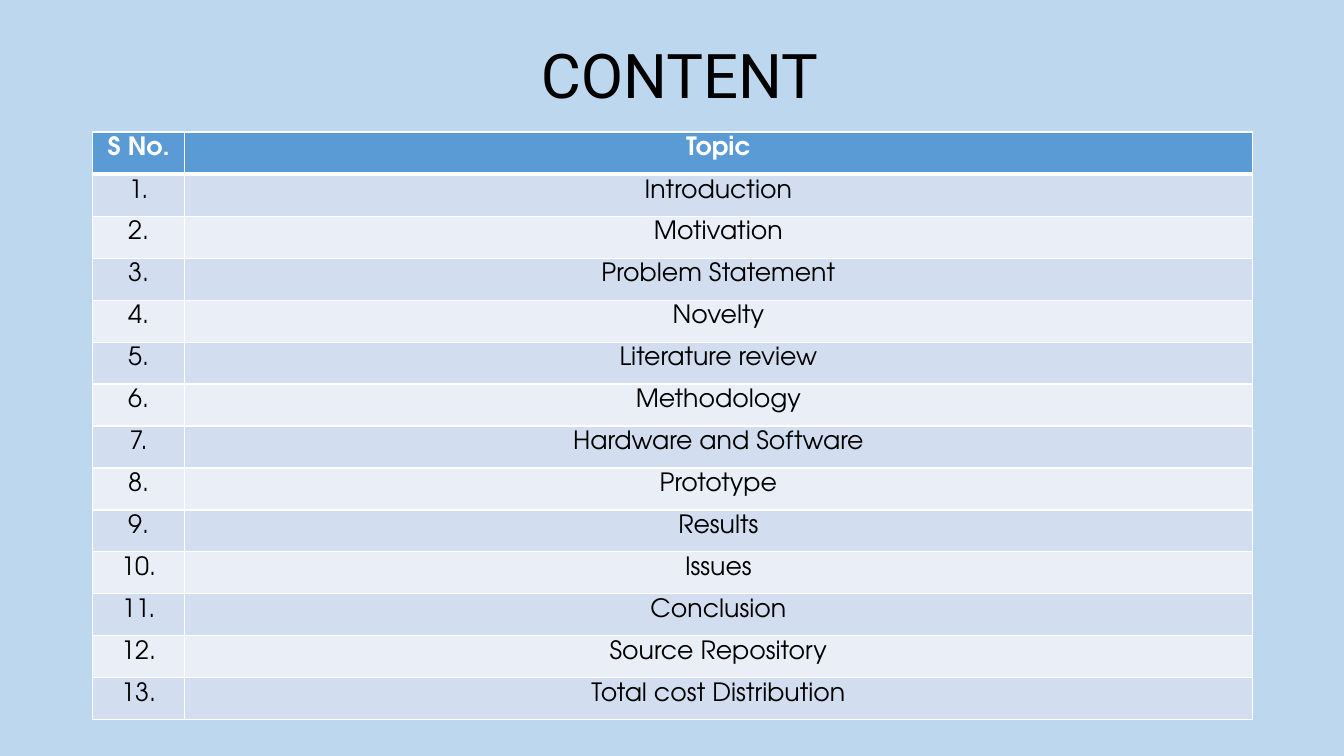
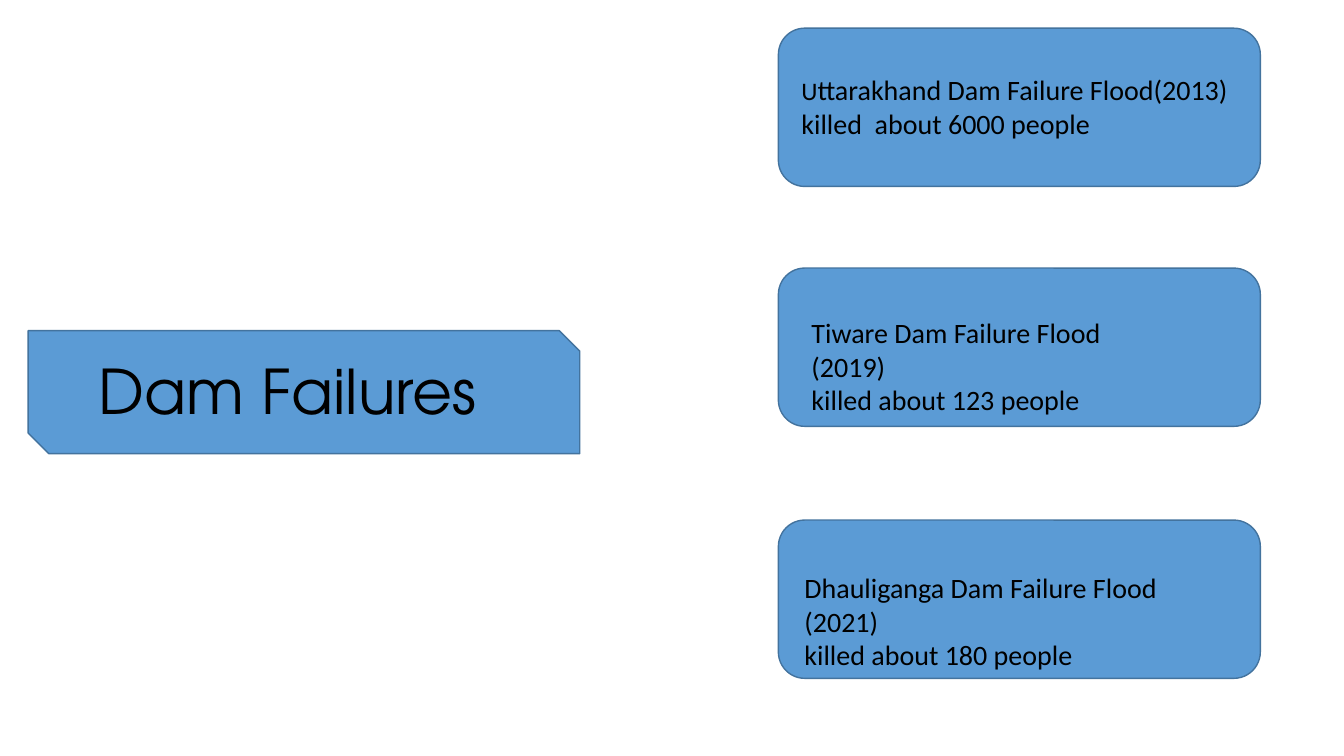
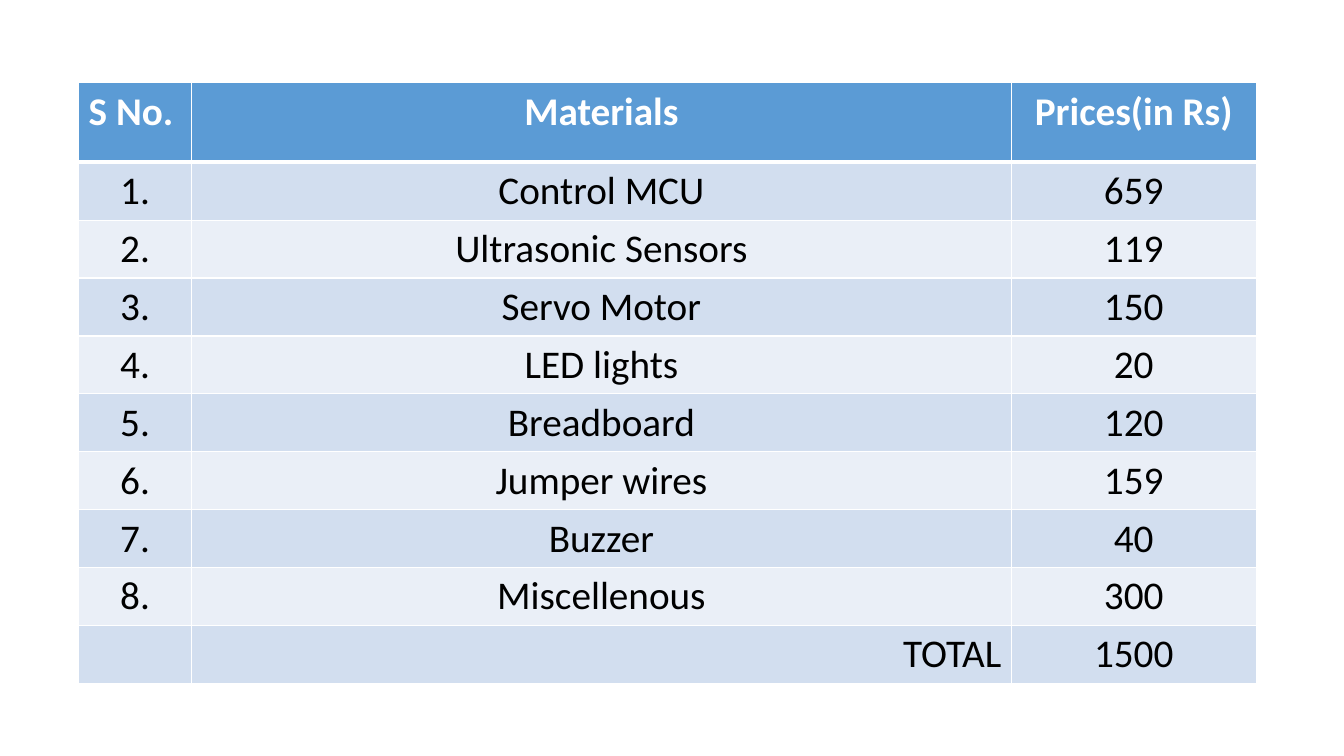
from lxml.etree import SubElement
from pptx import Presentation
from pptx.dml.color import RGBColor
from pptx.enum.shapes import MSO_SHAPE as Shape
from pptx.enum.text import MSO_ANCHOR as Anchor, MSO_AUTO_SIZE as AutoSize, PP_ALIGN as Align
from pptx.oxml.ns import qn
from pptx.util import Inches, Pt

WHITE = RGBColor(0xFF, 0xFF, 0xFF)
BLACK = RGBColor(0, 0, 0)
PALE_BLUE = RGBColor(0xBD, 0xD7, 0xEE)
BLUE = RGBColor(0x5B, 0x9B, 0xD5)
DARK_BLUE = RGBColor(0x43, 0x73, 0x9E)
BANDS = RGBColor(0xD2, 0xDE, 0xEF), RGBColor(0xEA, 0xEF, 0xF7)

BODY_FONT = "Calibri"
DISPLAY_FONT = "TeX Gyre Adventor"
CONTENT_FONT = "Roboto"

TOPICS = [
    "Introduction", "Motivation", "Problem Statement", "Novelty",
    "Literature review", "Methodology", "Hardware and Software", "Prototype",
    "Results", "Issues", "Conclusion", "Source Repository",
    "Total cost Distribution",
]

# Card top, then caption place (left, top, width) and lines
FAILURES = [
    (0.28, (7.85, 0.67, 4.54),
     ["Uttarakhand Dam Failure Flood(2013)", "killed  about 6000 people"]),
    (2.66, (7.95, 3.08, 3.8),
     ["Tiware Dam Failure Flood (2019)", "killed about 123 people"]),
    (5.16, (7.88, 5.61, 4.4),
     ["Dhauliganga Dam Failure Flood (2021)", "killed about 180 people"]),
]

MATERIALS = [
    ("Control MCU", 659), ("Ultrasonic Sensors", 119), ("Servo Motor", 150),
    ("LED lights", 20), ("Breadboard", 120), ("Jumper wires", 159),
    ("Buzzer", 40), ("Miscellenous", 300),
]
TOTAL = 1500


def add_slide(deck, background):
    slide = deck.slides.add_slide(deck.slide_layouts[6])
    slide.background.fill.solid()
    slide.background.fill.fore_color.rgb = background
    return slide


def style_paragraph(paragraph, font_name, size, color=BLACK, bold=False, align=Align.LEFT):
    paragraph.alignment = align
    font = paragraph.font
    font.name, font.size, font.bold = font_name, Pt(size), bold
    font.color.rgb = color


def add_text(slide, place, lines, font_name, size, align=Align.LEFT):
    frame = slide.shapes.add_textbox(*map(Inches, place)).text_frame
    frame.word_wrap = True
    frame.text = "\n".join(lines)
    for paragraph in frame.paragraphs:
        style_paragraph(paragraph, font_name, size, align=align)
    return frame


def add_title(slide, place, text, font_name, align=Align.LEFT):
    frame = add_text(slide, place, [text], font_name, 44, align)
    frame.vertical_anchor = Anchor.MIDDLE
    frame.paragraphs[0].line_spacing = 0.9


def add_panel(slide, preset, place):
    panel = slide.shapes.add_shape(preset, *map(Inches, place))
    panel.shadow.inherit = False
    panel.fill.solid()
    panel.fill.fore_color.rgb = BLUE
    panel.line.color.rgb = DARK_BLUE
    panel.line.width = Pt(1)


def set_borders(cell, top, bottom):
    """Draw white cell borders, 1 pt at the sides."""
    properties = cell._tc.get_or_add_tcPr()
    for side, width in (("L", 1), ("R", 1), ("T", top), ("B", bottom)):
        line = SubElement(properties, qn(f"a:ln{side}"), w=str(Pt(width)))
        fill = SubElement(line, qn("a:solidFill"))
        SubElement(fill, qn("a:srgbClr"), val=str(WHITE))


def add_banded_table(slide, place, widths, header_height, rows, font_name, size):
    """Add a centred table with a blue header; place is (left, top, height)."""
    left, top, height = place
    body_height = (height - header_height) / (len(rows) - 1)
    table = slide.shapes.add_table(
        len(rows), len(widths), Inches(left), Inches(top),
        Inches(sum(widths)), Inches(height)).table
    for column, width in zip(table.columns, widths):
        column.width = Inches(width)
    for r, row in enumerate(rows):
        header = r == 0
        table.rows[r].height = Inches(header_height if header else body_height)
        for c, value in enumerate(row):
            cell = table.cell(r, c)
            cell.text = str(value)
            set_borders(cell, top=3 if r == 1 else 1, bottom=3 if header else 1)
            cell.fill.solid()
            cell.fill.fore_color.rgb = BLUE if header else BANDS[(r - 1) % 2]
            style_paragraph(cell.text_frame.paragraphs[0], font_name, size,
                            WHITE if header else BLACK, header, Align.CENTER)
    return table


def build_content(deck):
    slide = add_slide(deck, PALE_BLUE)
    add_title(slide, (0.99, 0.28, 11.5, 1), "CONTENT", CONTENT_FONT, Align.CENTER)
    rows = [("S No.", "Topic")]
    rows += [(f"{number}.", topic) for number, topic in enumerate(TOPICS, 1)]
    add_banded_table(slide, (0.92, 1.31, 5.83), (0.91, 10.59), 0.42,
                     rows, DISPLAY_FONT, 18)


def build_failures(deck):
    slide = add_slide(deck, WHITE)
    add_panel(slide, Shape.SNIP_2_DIAG_RECTANGLE, (0.28, 3.28, 5.47, 1.22))
    add_title(slide, (0.88, 3.19, 4.48, 1.45), "Dam Failures", DISPLAY_FONT)
    captions = []
    for card_top, (left, top, width), lines in FAILURES:
        add_panel(slide, Shape.ROUNDED_RECTANGLE, (7.72, card_top, 4.78, 1.57))
        caption = add_text(slide, (left, top, width, 0.77), lines, BODY_FONT, 20)
        caption.auto_size = AutoSize.SHAPE_TO_FIT_TEXT
        captions.append(caption)

    # The first caption opens with a smaller initial
    heading = captions[0].paragraphs[0]
    initial, rest = heading.runs[0], heading.add_run()
    initial.text, rest.text = initial.text[:1], initial.text[1:]
    initial.font.size = Pt(18)


def build_costs(deck):
    slide = add_slide(deck, WHITE)
    rows = [("S No.", "Materials", "Prices(in Rs)")]
    rows += [(f"{number}.", *item) for number, item in enumerate(MATERIALS, 1)]
    rows.append(("", "TOTAL", TOTAL))
    table = add_banded_table(slide, (0.78, 0.82, 5.96), (1.12, 8.13, 2.43), 0.79,
                             rows, BODY_FONT, 28)
    table.cell(0, 0).text_frame.paragraphs[0].alignment = Align.LEFT
    table.cell(len(rows) - 1, 1).text_frame.paragraphs[0].alignment = Align.RIGHT


def main():
    deck = Presentation()
    deck.slide_width, deck.slide_height = Inches(13.33), Inches(7.5)
    build_content(deck)
    build_failures(deck)
    build_costs(deck)
    deck.save("out.pptx")


if __name__ == "__main__":
    main()
